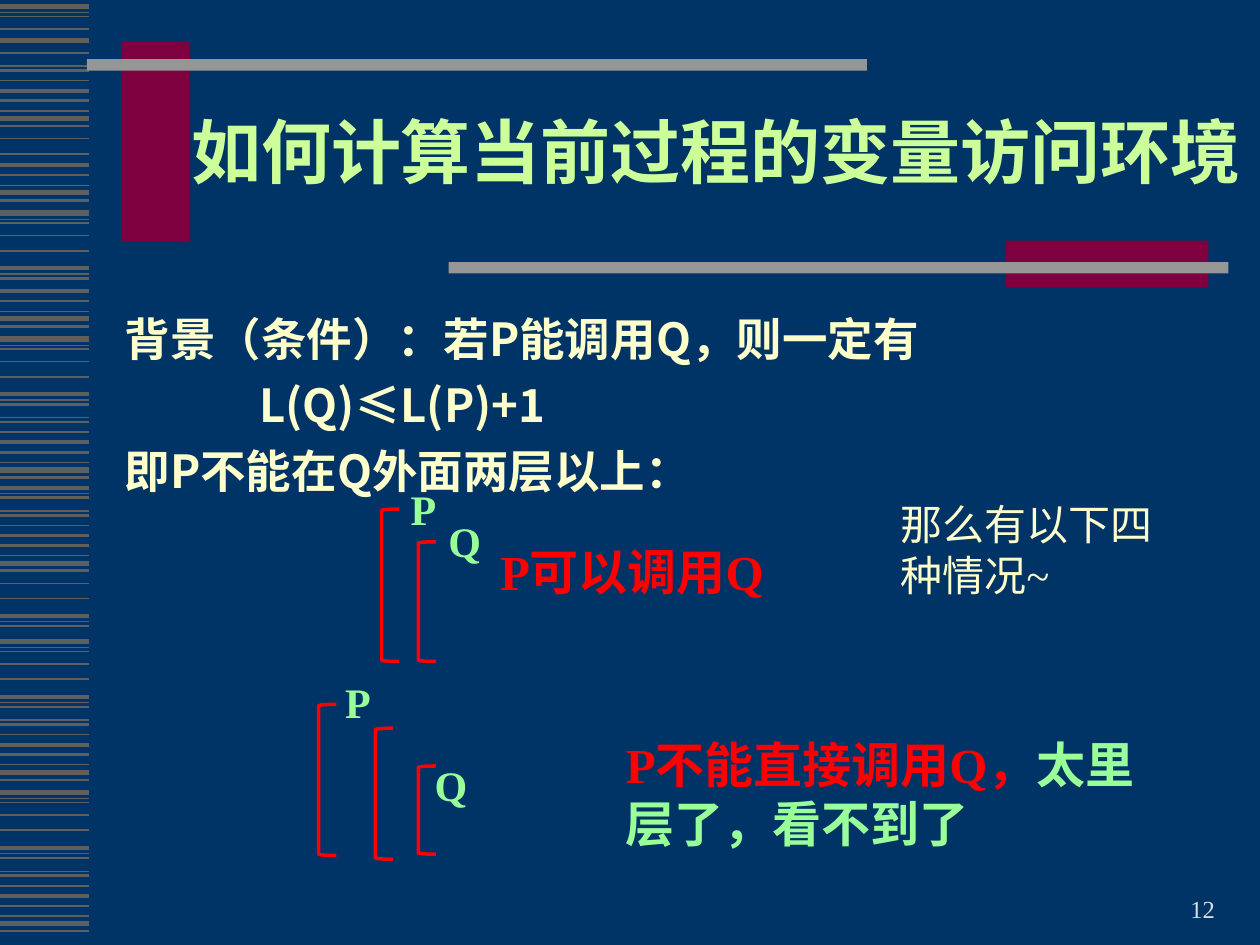
from dataclasses import dataclass

import pptx
import pptx.dml.color
import pptx.enum.shapes
import pptx.enum.text
import pptx.oxml.ns
import pptx.util
from lxml import etree

COLORS = {
    "background": "003366", "stripe": "5F5F5F", "block": "7E003F",
    "bar": "969696", "title": "CCFF99", "body": "FFFFCC",
    "label": "99FF99", "alert": "FF0000", "number": "DDDDDD",
}
SERIF, SANS = "Times New Roman", "Noto Sans CJK SC"
SHAPES = pptx.enum.shapes.MSO_SHAPE
ALIGN = pptx.enum.text.PP_ALIGN
ANCHOR = pptx.enum.text.MSO_ANCHOR

# The slide is a grid of 100 columns by 75 rows
prs = pptx.Presentation()
prs.slide_width = pptx.util.Inches(10)
prs.slide_height = pptx.util.Inches(7.5)
CELL = prs.slide_width / 100


@dataclass
class Area:
    col: float
    row: float
    cols: float
    rows: float

    def emu(self) -> list[int]:
        return [round(n * CELL) for n in (self.col, self.row, self.cols, self.rows)]


@dataclass
class Words:
    text: str
    size: float
    color: str
    bold: bool = True
    font: str = SERIF


@dataclass
class Caption:
    area: Area
    runs: list[Words]
    align: ALIGN = ALIGN.LEFT
    anchor: ANCHOR = ANCHOR.TOP


@dataclass
class StripeRun:
    """Part of the stripe pattern, shifted down to start at a row."""
    row: float
    first: int
    last: int


def rgb(name: str) -> pptx.dml.color.RGBColor:
    return pptx.dml.color.RGBColor.from_string(COLORS[name])


def add_words(paragraph, words: Words) -> None:
    run = paragraph.add_run()
    run.text = words.text
    run.font.size = pptx.util.Pt(words.size)
    run.font.bold = words.bold
    run.font.color.rgb = rgb(words.color)
    run.font.name = words.font
    east_asian = etree.SubElement(run.font._element, pptx.oxml.ns.qn("a:ea"))
    east_asian.set("typeface", SANS)


def add_caption(slide, caption: Caption) -> None:
    frame = slide.shapes.add_textbox(*caption.area.emu()).text_frame
    frame.word_wrap = True
    frame.vertical_anchor = caption.anchor
    paragraph = frame.paragraphs[0]
    paragraph.alignment = caption.align
    for words in caption.runs:
        add_words(paragraph, words)


def add_block(slide, area: Area, color: str) -> None:
    block = slide.shapes.add_shape(SHAPES.RECTANGLE, *area.emu())
    block.shadow.inherit = False
    block.fill.solid()
    block.fill.fore_color.rgb = rgb(color)
    block.line.fill.background()


def add_bracket(slide, area: Area) -> None:
    bracket = slide.shapes.add_shape(SHAPES.LEFT_BRACKET, *area.emu())
    bracket.shadow.inherit = False
    bracket.fill.background()
    bracket.line.color.rgb = rgb("alert")
    bracket.line.width = pptx.util.Pt(2)


def add_stripe(slide, row: float, weight: float) -> None:
    y = round(row * CELL)
    stripe = slide.shapes.add_connector(
        pptx.enum.shapes.MSO_CONNECTOR.STRAIGHT, 0, y, round(7.1 * CELL), y)
    stripe.line.color.rgb = rgb("stripe")
    stripe.line.width = pptx.util.Pt(weight)
    etree.SubElement(stripe._element.spPr, pptx.oxml.ns.qn("a:effectLst"))


slide = prs.slides.add_slide(prs.slide_layouts[5])
slide.background.fill.solid()
slide.background.fill.fore_color.rgb = rgb("background")

# Striped left edge: one pattern of (row offset, weight), repeated in parts
PATTERN = [
    (0, 3), (0.5, 0.75), (0.8, 1), (1.8, 1), (3, 1), (4.4, 2.25),
    (4.85, 0.75), (5.2, 1.5), (6.25, 0.75), (6.6, 1.5), (7.4, 1),
    (8.2, 2.25), (9, 1.5), (9.8, 0.75), (10.4, 3), (11, 1.5),
]
STRIPE_RUNS = [
    StripeRun(0.5, 0, 3), StripeRun(3.2, 0, 0), StripeRun(-1, 7, 15),
    StripeRun(9.2, 3, 4), StripeRun(4.9, 11, 15), StripeRun(16.9, 0, 7),
    StripeRun(14.9, 11, 15), StripeRun(26.9, 0, 15), StripeRun(34.3, 5, 15),
    StripeRun(44.5, 3, 7), StripeRun(50.9, 0, 15), StripeRun(62.9, 0, 15),
]
for part in STRIPE_RUNS:
    for offset, weight in PATTERN[part.first:part.last + 1]:
        add_stripe(slide, part.row + offset, weight)

# Blocks and bars framing the title
for area, color in [
    (Area(9.7, 3.3, 5.4, 15.9), "block"), (Area(6.9, 4.7, 61.9, 0.9), "bar"),
    (Area(79.8, 19.1, 16.1, 3.7), "block"), (Area(35.6, 20.8, 61.9, 0.9), "bar"),
]:
    add_block(slide, area, color)

# Title
title = slide.shapes.title
title.left, title.top, title.width, title.height = Area(13.5, 6, 86.6, 13).emu()
title.text_frame.vertical_anchor = ANCHOR.MIDDLE
heading = title.text_frame.paragraphs[0]
heading.alignment = ALIGN.CENTER
heading.line_spacing = 0.85
add_words(heading, Words("如何计算当前过程的变量访问环境", 40, "title"))

# Condition: the formula line is indented
condition = slide.shapes.add_textbox(*Area(8.9, 24.2, 87, 42.4).emu()).text_frame
condition.word_wrap = True
CONDITION_LINES = [
    ("背景（条件）：若P能调用Q，则一定有", 0),
    ("L(Q)≤L(P)+1", 10.7),
    ("即P不能在Q外面两层以上：", 0),
]
for index, (text, indent) in enumerate(CONDITION_LINES):
    line = condition.add_paragraph() if index else condition.paragraphs[0]
    if index:
        line.space_before = pptx.util.Pt(6.5)
    line._p.get_or_add_pPr().set("marL", str(round(indent * CELL)))
    add_words(line, Words(text, 26, "body", font=SANS))

# Nesting brackets: P can call Q above, P cannot call Q below
for area in [
    Area(30.3, 40.4, 1.4, 12.1), Area(33.2, 43, 1.4, 9.5),
    Area(25.3, 55.9, 1.4, 12), Area(29.8, 57.8, 1.4, 10.4),
    Area(33.2, 60.8, 1.4, 7),
]:
    add_bracket(slide, area)

# Procedure labels, verdicts, side remark and slide number
for name, col, row in [("P", 31.6, 37.9), ("Q", 34.6, 40.4),
                       ("P", 26.4, 53.2), ("Q", 33.5, 59.8)]:
    add_caption(slide, Caption(Area(col, row, 8.2, 5), [Words(name, 24, "label")]))

for caption in [
    Caption(Area(38.7, 42.5, 25.5, 5.7), [Words("P可以调用Q", 28, "alert")]),
    Caption(Area(48.7, 57.8, 43.6, 10.4), [
        Words("P不能直接调用Q，", 28, "alert"),
        Words("太里层了，看不到了", 28, "label")]),
    Caption(Area(70.5, 39.1, 24.4, 9),
            [Words("那么有以下四种情况~", 24, "body", bold=False)]),
    Caption(Area(73.4, 68.8, 24, 5), [Words("12", 14, "number", bold=False)],
            ALIGN.RIGHT, ANCHOR.BOTTOM),
]:
    add_caption(slide, caption)

prs.save("out.pptx")
